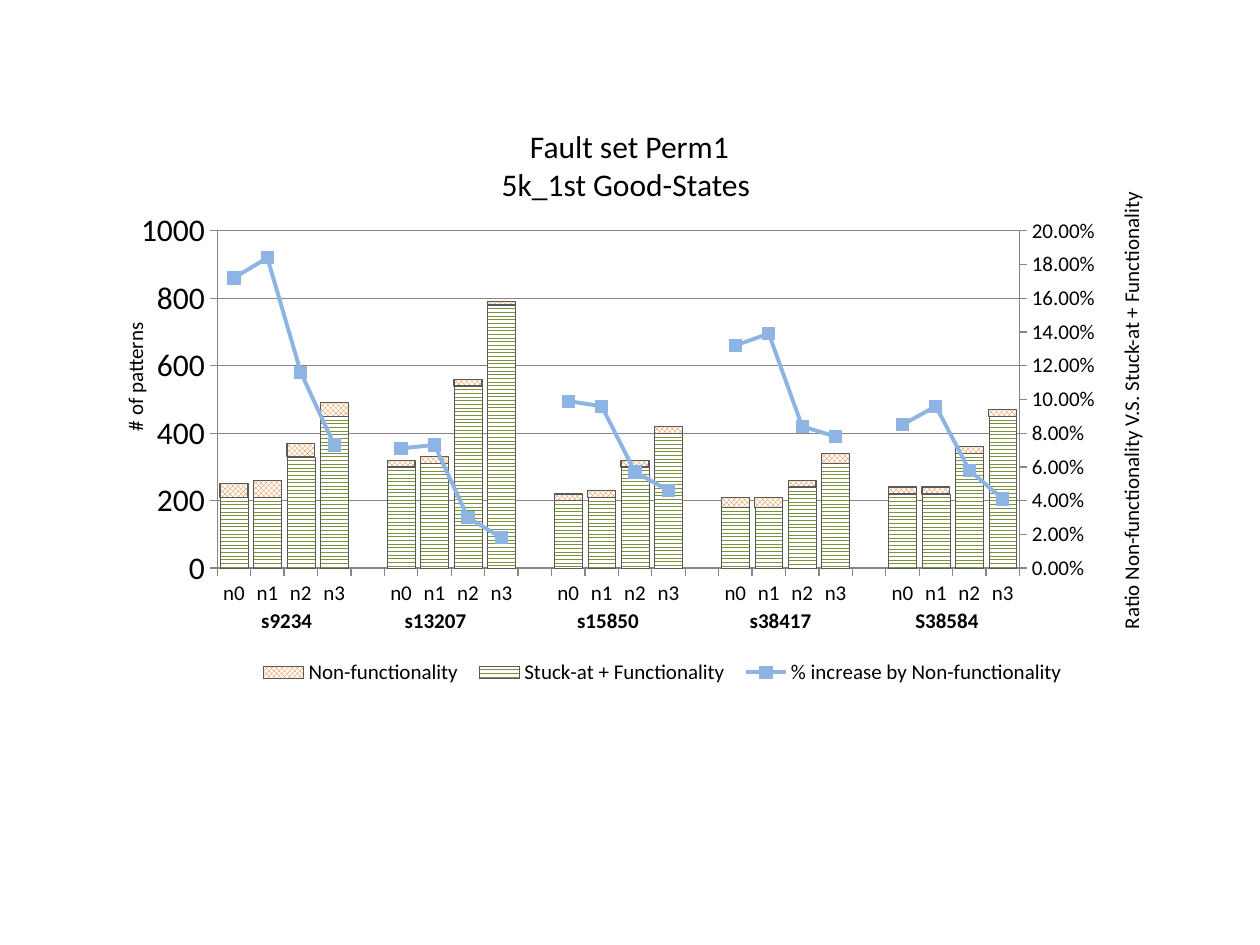
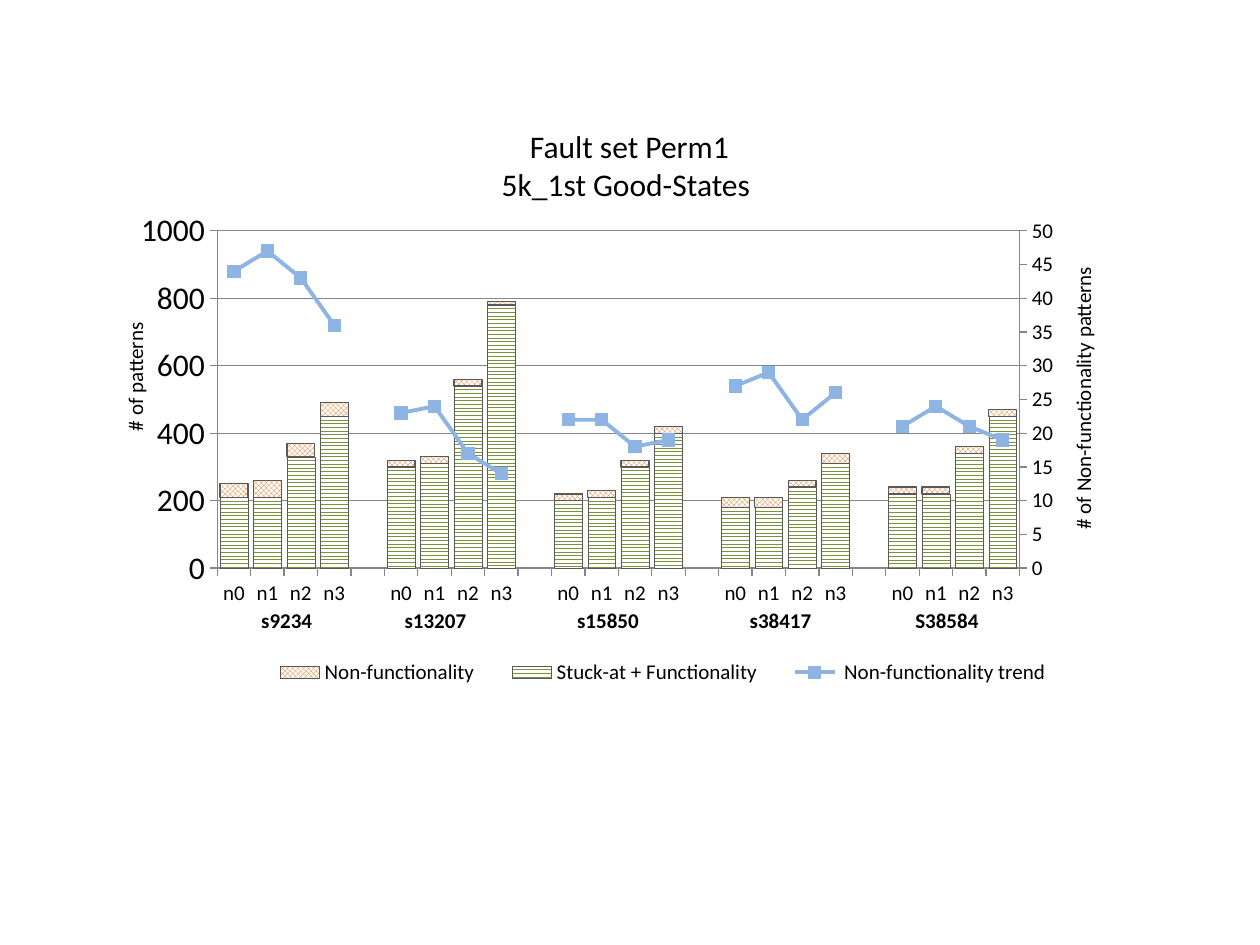
import pptx
import pptx.chart.axis
import pptx.chart.data
import pptx.dml.color
import pptx.enum.chart
import pptx.enum.dml
import pptx.enum.text
import pptx.oxml
import pptx.oxml.ns
import pptx.util

Pt = pptx.util.Pt
qn = pptx.oxml.ns.qn
CHART_NS = pptx.oxml.ns.nsdecls("c")
PATTERN = pptx.enum.dml.MSO_PATTERN
TICK = pptx.enum.chart.XL_TICK_MARK

BLACK, WHITE, GRID, OUTLINE = "000000", "FFFFFF", "868686", "595959"
GREEN, ORANGE, TREND, MARKER = "77933C", "E46C0A", "8EB4E3", "558ED5"
LABEL = {"size": Pt(12), "name": "Calibri", "bold": False}
CIRCUIT = {**LABEL, "bold": True}
TITLE = {**LABEL, "size": Pt(18)}

CHART_BOX = (59.8, 77, 569.5, 326.9)
PLOT_LAYOUT = (0.113, 0.168, 0.805, 0.59)
LEGEND_LAYOUT = (0.145, 0.9, 0.83, 0.08)
TITLE_LINES = ["Fault set Perm1", "5k_1st Good-States "]
CIRCUITS = {"s9234": 129.6, "s13207": 214.6, "s15850": 313.2,
            "s38417": 411.8, "S38584": 506.9}

STUCK_AT = [[210, 210, 330, 450], [300, 310, 540, 780], [200, 210, 300, 400],
            [180, 180, 240, 310], [220, 220, 340, 450]]
NON_FUNCTIONAL = [[40, 50, 40, 40], [20, 20, 20, 10], [20, 20, 20, 20],
                  [30, 30, 20, 30], [20, 20, 20, 20]]
SLIDES = [
    {"name": "% increase by Non-functionality",
     "values": [[0.172, 0.184, 0.116, 0.073], [0.071, 0.073, 0.03, 0.018],
                [0.099, 0.096, 0.057, 0.046], [0.132, 0.139, 0.084, 0.078],
                [0.085, 0.096, 0.058, 0.041]],
     "top": 0.2, "step": 0.02, "number_format": "0.00%",
     "label": "Ratio Non-functionality V.S. Stuck-at + Functionality ",
     "label_box": (493.2, 222.5, 306, 21.6)},
    {"name": " Non-functionality trend",
     "values": [[44, 47, 43, 36], [23, 24, 17, 14], [22, 22, 18, 19],
                [27, 29, 22, 26], [21, 24, 21, 19]],
     "top": 50, "step": 5, "number_format": "General",
     "label": "# of Non-functionality patterns",
     "label_box": (465.8, 216.7, 306, 21.6)},
]


def rgb(value):
    return pptx.dml.color.RGBColor.from_string(value)


def set_attrs(obj, values):
    for name, value in values.items():
        setattr(obj, name, value)


def set_font(font, style):
    set_attrs(font, style)
    font.color.rgb = rgb(BLACK)


def set_line(line, color, width):
    line.color.rgb = rgb(color)
    line.width = Pt(width)


def fill_text(sp, lines, style):
    tf = sp.text_frame
    set_attrs(tf, {"word_wrap": True,
                   "auto_size": pptx.enum.text.MSO_AUTO_SIZE.NONE,
                   "vertical_anchor": pptx.enum.text.MSO_ANCHOR.TOP})
    for i, line in enumerate(lines):
        p = tf.add_paragraph() if i else tf.paragraphs[0]
        p.alignment = pptx.enum.text.PP_ALIGN.CENTER
        r = p.add_run()
        r.text = line
        set_font(r.font, style)


def add_title(s):
    sp = s.shapes.title
    box = map(Pt, (265, 69.1, 189.4, 51.1))
    set_attrs(sp, dict(zip(("left", "top", "width", "height"), box)))
    fill_text(sp, TITLE_LINES, TITLE)


def add_label(s, text, box, style=LABEL, rotation=0):
    sp = s.shapes.add_textbox(*map(Pt, box))
    sp.rotation = rotation
    fill_text(sp, [text], style)


def with_gaps(groups, gap=None):
    """Join the groups of four, with one empty slot between neighbours."""
    joined = []
    for group in groups:
        joined += [gap] * bool(joined) + group
    return joined


def make_layout(box, inner=False):
    target = '<c:layoutTarget val="inner"/>' if inner else ""
    modes = "".join(f'<c:{k}Mode val="edge"/>' for k in "xy")
    sizes = "".join(f'<c:{k} val="{v}"/>' for k, v in zip("xywh", box))
    return pptx.oxml.parse_xml(
        f"<c:layout {CHART_NS}><c:manualLayout>{target}{modes}{sizes}"
        "</c:manualLayout></c:layout>")


def drop_layout(parent):
    for old in parent.findall(qn("c:layout")):
        parent.remove(old)


def make_axis(kind, axis_id, cross_id, side, hidden, crosses):
    return pptx.oxml.parse_xml(
        f'<c:{kind} {CHART_NS}><c:axId val="{axis_id}"/>'
        '<c:scaling><c:orientation val="minMax"/></c:scaling>'
        f'<c:delete val="{hidden}"/><c:axPos val="{side}"/>'
        '<c:majorTickMark val="out"/><c:minorTickMark val="none"/>'
        f'<c:tickLblPos val="nextTo"/><c:crossAx val="{cross_id}"/>'
        f'<c:crosses val="{crosses}"/></c:{kind}>')


def move_last_series_to_right_axis(plot_area):
    """Turn the last column series into a line and return its value axis."""
    bars = plot_area.find(qn("c:barChart"))
    ser = bars.findall(qn("c:ser"))[-1]
    for node in ser.findall(qn("c:invertIfNegative")):
        ser.remove(node)
    line_chart = pptx.oxml.parse_xml(
        f'<c:lineChart {CHART_NS}><c:grouping val="standard"/>'
        '<c:varyColors val="0"/><c:marker val="1"/>'
        '<c:axId val="5001"/><c:axId val="5002"/></c:lineChart>')
    line_chart.insert(2, ser)
    bars.addnext(line_chart)
    value_axis = make_axis("valAx", 5002, 5001, "r", 0, "max")
    last_axis = plot_area.findall(qn("c:valAx"))[-1]
    last_axis.addnext(value_axis)
    last_axis.addnext(make_axis("catAx", 5001, 5002, "b", 1, "autoZero"))
    return pptx.chart.axis.ValueAxis(value_axis)


def format_axis(axis, gridlines=False):
    set_attrs(axis, {"major_tick_mark": TICK.OUTSIDE,
                     "minor_tick_mark": TICK.NONE,
                     "has_major_gridlines": gridlines})
    set_font(axis.tick_labels.font, LABEL)
    set_line(axis.format.line, GRID, 0.75)
    if gridlines:
        set_line(axis.major_gridlines.format.line, GRID, 0.75)


def scale_axis(axis, top, step, number_format):
    set_attrs(axis, {"minimum_scale": 0, "maximum_scale": top,
                     "major_unit": step})
    set_attrs(axis.tick_labels, {"number_format": number_format,
                                 "number_format_is_linked": False})


def format_column(ser, pattern, color, width):
    fill = ser.format.fill
    fill.patterned()
    fill.pattern = pattern
    fill.fore_color.rgb = rgb(color)
    fill.back_color.rgb = rgb(WHITE)
    set_line(ser.format.line, OUTLINE, width)


def format_trend(ser):
    ser.smooth = False
    set_line(ser.format.line, TREND, 2.25)
    set_attrs(ser.marker, {"style": pptx.enum.chart.XL_MARKER_STYLE.SQUARE,
                           "size": 7})
    ser.marker.format.fill.solid()
    ser.marker.format.fill.fore_color.rgb = rgb(MARKER)
    set_line(ser.marker.format.line, TREND, 0.75)


def format_legend(chart, plot_area):
    chart.has_legend = True
    set_attrs(chart.legend, {
        "position": pptx.enum.chart.XL_LEGEND_POSITION.RIGHT,
        "include_in_layout": False})
    set_font(chart.legend.font, LABEL)
    legend = plot_area.getparent().find(qn("c:legend"))
    drop_layout(legend)
    legend_pos = legend.find(qn("c:legendPos"))
    legend.insert(0 if legend_pos is None else 1, make_layout(LEGEND_LAYOUT))


def add_pattern_chart(s, trend):
    data = pptx.chart.data.CategoryChartData()
    data.categories = with_gaps([["n0", "n1", "n2", "n3"]] * len(CIRCUITS), "")
    data.add_series("Stuck-at + Functionality", with_gaps(STUCK_AT))
    data.add_series("Non-functionality", with_gaps(NON_FUNCTIONAL))
    data.add_series(trend["name"], with_gaps(trend["values"]),
                    trend["number_format"])
    chart = s.shapes.add_chart(pptx.enum.chart.XL_CHART_TYPE.COLUMN_STACKED,
                               *map(Pt, CHART_BOX), data).chart
    chart.has_title = False
    set_font(chart.font, TITLE)
    plot_area = chart.element.find(".//" + qn("c:plotArea"))
    right_axis = move_last_series_to_right_axis(plot_area)
    drop_layout(plot_area)
    plot_area.insert(0, make_layout(PLOT_LAYOUT, inner=True))

    columns, line = chart.plots
    set_attrs(columns, {"gap_width": 20, "overlap": 100,
                        "vary_by_categories": False})
    stuck_at, non_functional = columns.series
    format_column(stuck_at, PATTERN.ZIG_ZAG, GREEN, 0.25)
    format_column(non_functional, PATTERN.TRELLIS, ORANGE, 0.75)
    format_trend(line.series[0])

    format_axis(chart.category_axis)
    format_axis(chart.value_axis, gridlines=True)
    format_axis(right_axis)
    scale_axis(chart.value_axis, 900, 100, "General")
    scale_axis(right_axis, trend["top"], trend["step"], trend["number_format"])
    format_legend(chart, plot_area)


def main():
    prs = pptx.Presentation()
    prs.slide_width, prs.slide_height = Pt(720), Pt(540)
    for trend in SLIDES:
        s = prs.slides.add_slide(prs.slide_layouts[5])
        add_pattern_chart(s, trend)
        for circuit, left in CIRCUITS.items():
            add_label(s, circuit, (left, 343.4, 68.4, 21.6), CIRCUIT)
        add_title(s)
        add_label(s, "# of patterns", (13, 204.5, 128.2, 21.6), rotation=270)
        add_label(s, trend["label"], trend["label_box"], rotation=270)
    prs.save("out.pptx")


if __name__ == "__main__":
    main()
